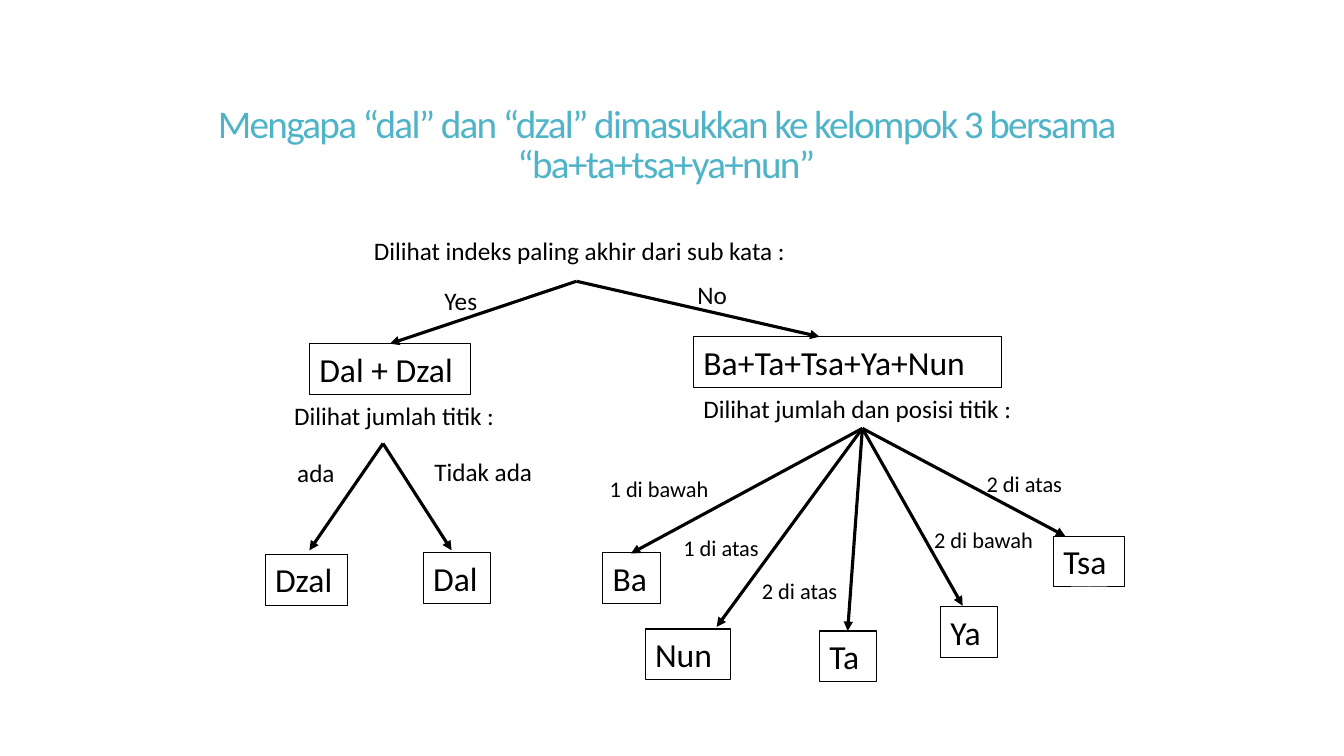
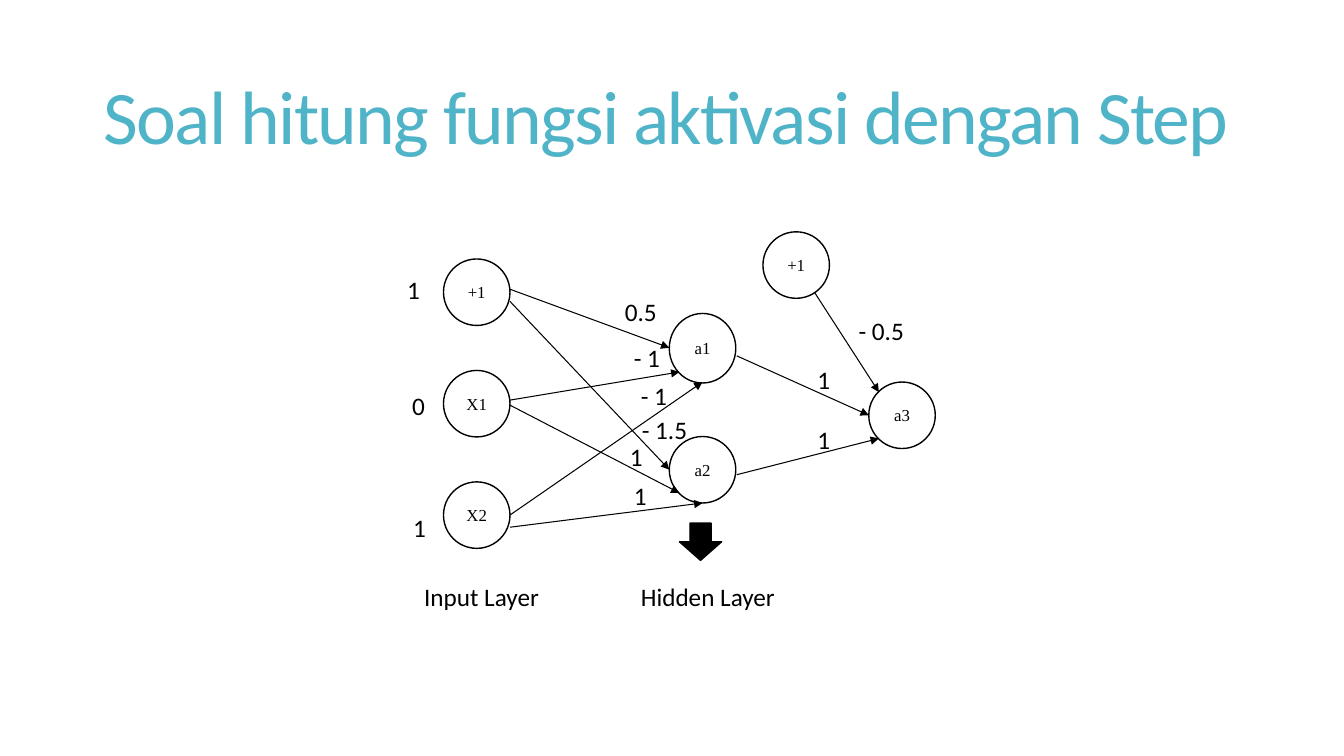
import pptx
import pptx.util
import pptx.dml.color
import pptx.enum.shapes
import pptx.enum.text
import pptx.oxml
import pptx.oxml.ns

Pt = pptx.util.Pt
SHAPES = pptx.enum.shapes.MSO_SHAPE
ANCHOR = pptx.enum.text.MSO_ANCHOR
ALIGN = pptx.enum.text.PP_ALIGN
FIT = pptx.enum.text.MSO_AUTO_SIZE.SHAPE_TO_FIT_TEXT
INK = "000000"
TITLE_COLOUR = "50B4C8"
BODY_FONT = "Calibri"
NODE_FONT = "Times New Roman"
NODE_SIZE = 47.5


def colour(value):
    return pptx.dml.color.RGBColor.from_string(value)


def write(box, text, size, font=BODY_FONT, ink=INK, align=ALIGN.LEFT):
    para = box.text_frame.paragraphs[0]
    para.alignment = align
    para.font.size = Pt(size)
    para.font.name = font
    para.font.color.rgb = colour(ink)
    span = para.add_run()
    span.text = text
    return para, span


def add_title(page, text, size, height):
    box = page.shapes.add_textbox(Pt(51.8), Pt(39.6), Pt(848.2), Pt(height))
    box.text_frame.word_wrap = True
    box.text_frame.vertical_anchor = ANCHOR.MIDDLE
    para, span = write(box, text, size, ink=TITLE_COLOUR, align=ALIGN.CENTER)
    para.line_spacing = 0.85
    span._r.get_or_add_rPr().set("spc", "-120")


def add_label(page, text, left, top, width, size=18):
    box = page.shapes.add_textbox(Pt(left), Pt(top), Pt(width), Pt(size * 1.2 + 7.2))
    box.text_frame.word_wrap = False
    box.text_frame.auto_size = FIT
    write(box, text, size)


def add_outline(page, kind, left, top, width, height, weight):
    shape = page.shapes.add_shape(kind, Pt(left), Pt(top), Pt(width), Pt(height))
    shape.shadow.inherit = False
    shape.fill.background()
    shape.line.color.rgb = colour(INK)
    shape.line.width = Pt(weight)
    return shape


def add_box(page, text, left, top, width):
    box = add_outline(page, SHAPES.RECTANGLE, left, top, width, 36.3, 0.75)
    box.text_frame.vertical_anchor = ANCHOR.TOP
    box.text_frame.word_wrap = False
    write(box, text, 24)


def add_node(page, text, left, top, height=NODE_SIZE):
    node = add_outline(page, SHAPES.OVAL, left, top, NODE_SIZE, height, 1)
    frame = node.text_frame
    frame.margin_left = frame.margin_right = 0
    frame.vertical_anchor = ANCHOR.MIDDLE
    write(node, text, 12, font=NODE_FONT, align=ALIGN.CENTER)


def add_arrow(page, start, end, weight):
    arrow = page.shapes.add_connector(
        pptx.enum.shapes.MSO_CONNECTOR.STRAIGHT, *map(Pt, start + end))
    arrow.line.color.rgb = colour(INK)
    arrow.line.width = Pt(weight)
    head = pptx.oxml.parse_xml(
        f'<a:tailEnd {pptx.oxml.ns.nsdecls("a")} type="triangle"/>')
    arrow.line._get_or_add_ln().append(head)
    arrow._element.spPr.append(
        pptx.oxml.parse_xml(f'<a:effectLst {pptx.oxml.ns.nsdecls("a")}/>'))


def build_tree(page):
    add_title(page, "Mengapa “dal” dan “dzal” dimasukkan ke kelompok 3 bersama "
              "“ba+ta+tsa+ya+nun”", 28, 130.3)
    branches = {
        (411.8, 200.9): [(278.6, 245.5), (585.4, 240.5)],
        (273.6, 316.8): [(221, 393.1), (322.6, 393.1)],
        (616, 306): [(450.7, 395.3), (511.9, 447.8), (605.5, 450.7),
                     (687.6, 432.7), (761, 383)],
    }
    for start, ends in branches.items():
        for end in ends:
            add_arrow(page, start, end, 2.25)
    for box in [
        ("Dal + Dzal", 221, 245.5, 115.2),
        ("Ba+Ta+Tsa+Ya+Nun", 495.4, 240.5, 220.3),
        ("Dzal", 189.4, 396, 59),
        ("Dal", 302.4, 394.6, 48.2),
        ("Ba", 430.6, 394.6, 41),
        ("Nun", 460.8, 449.3, 61.2),
        ("Ta", 585.4, 450.7, 41),
        ("Ya", 671.8, 433.4, 41),
        ("Tsa", 752.4, 383, 51.1),
    ]:
        add_box(page, *box)
    for question in [
        ("Dilihat indeks paling akhir dari sub kata :", 259.9, 164.9, 315.4),
        ("Dilihat jumlah titik :", 203, 282.2, 161.3),
        ("Dilihat jumlah dan posisi titik :", 495.4, 277.2, 239.8),
        ("Yes", 310.3, 200.2, 40.3),
        ("No", 491, 195.8, 36.7),
        ("ada", 205.2, 323.3, 42.5),
        ("Tidak ada", 303.1, 322.6, 87.8),
    ]:
        add_label(page, *question)
    for dots in [
        ("1 di bawah", 428.4, 335.5, 85.7),
        ("1 di atas", 481, 378, 69.1),
        ("2 di atas", 537.1, 409, 69.8),
        ("2 di bawah", 660.2, 372.2, 86.4),
        ("2 di atas", 697.7, 331.9, 69.8),
    ]:
        add_label(page, *dots, size=16)


def build_network(page):
    add_title(page, "Soal hitung fungsi aktivasi dengan Step", 54, 94.3)
    for row, name in enumerate(["+1", "X1", "X2"]):
        add_node(page, name, 316.8, 185 + 79.6 * row)
    add_node(page, "a1", 478.1, 223.9, 49.7)
    add_node(page, "a2", 478.1, 311.8)
    add_node(page, "a3", 620.6, 272.9)
    add_node(page, "+1", 545, 165.6)
    for start, end in [
        ((581.8, 208.8), (627.8, 280.1)),
        ((526.3, 254.2), (620.6, 296.6)),
        ((526.3, 339.1), (627.8, 313.2)),
        ((364.3, 206.6), (478.1, 248.4)),
        ((364.3, 215.3), (478.1, 335.5)),
        ((364.3, 285.8), (485.3, 265.7)),
        ((364.3, 289.4), (485.3, 352.1)),
        ((364.3, 367.9), (501.8, 272.9)),
        ((364.3, 376.6), (501.8, 359.3)),
    ]:
        add_arrow(page, start, end, 0.75)
    for label in [
        ("1", 283.7, 192.2, 23.8),
        ("0", 287.3, 275, 23.8),
        ("1", 288, 362.2, 23.8),
        ("0.5", 439.2, 208.1, 37.4),
        ("- 1", 445.7, 241.2, 33.1),
        ("- 1", 450.7, 267.8, 33.1),
        ("- 1.5", 451.4, 292.3, 46.8),
        ("1", 442.8, 311.8, 23.8),
        ("1", 445.7, 339.8, 23.8),
        ("1", 576.7, 257, 23.8),
        ("1", 576.7, 299.5, 23.8),
        ("- 0.5", 606.2, 221.8, 46.8),
        ("Input Layer", 295.9, 411.5, 96.5),
        ("Hidden Layer", 450.7, 411.5, 110.2),
    ]:
        add_label(page, *label)
    pointer = add_outline(page, SHAPES.DOWN_ARROW, 485.3, 373.7, 30.2, 26.6, 1)
    pointer.fill.solid()
    pointer.fill.fore_color.rgb = colour(INK)


def main():
    deck = pptx.Presentation()
    deck.slide_width, deck.slide_height = Pt(960), Pt(540)
    for build in (build_tree, build_network):
        build(deck.slides.add_slide(deck.slide_layouts[6]))
    deck.save("out.pptx")


if __name__ == "__main__":
    main()
